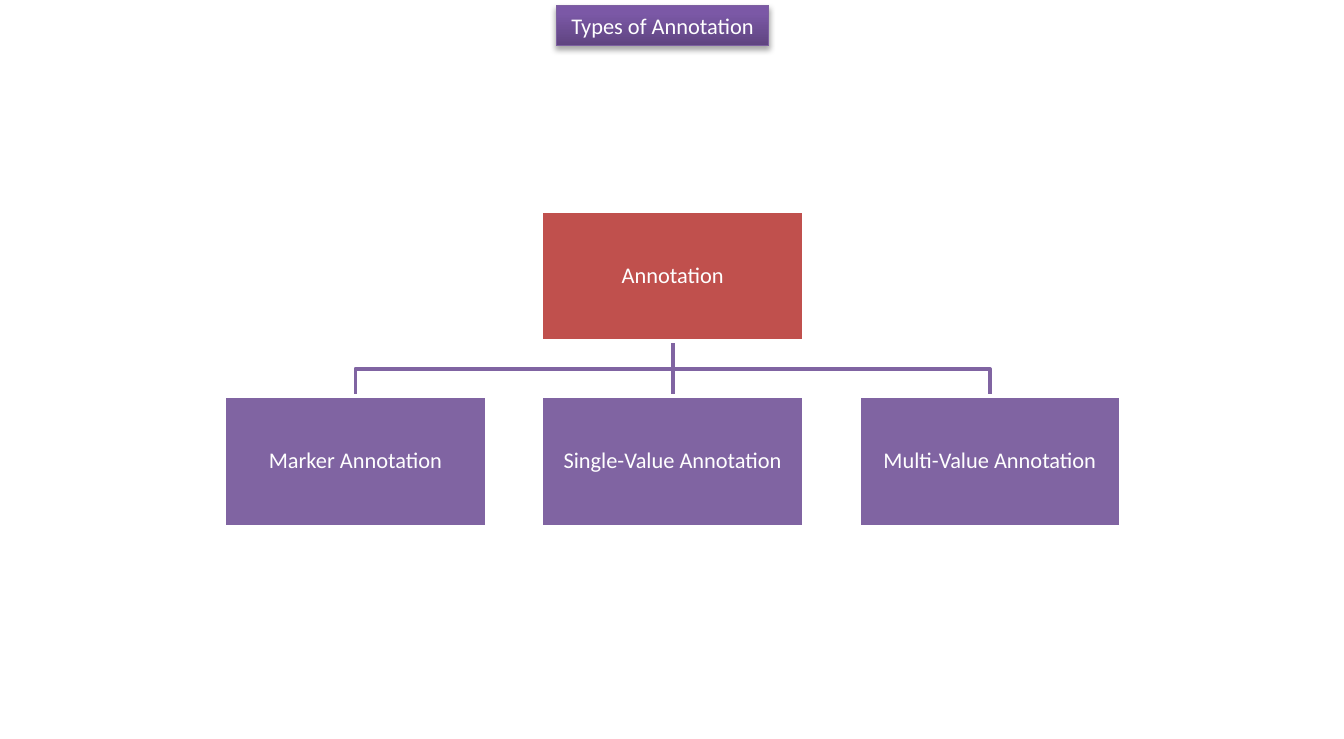
from lxml import etree
from pptx import Presentation
from pptx.dml.color import RGBColor
from pptx.enum import shapes, text
from pptx.oxml.ns import qn
from pptx.util import Inches, Pt

WHITE = RGBColor(0xFF, 0xFF, 0xFF)
RED = RGBColor(0xC0, 0x50, 0x4D)
PURPLE = RGBColor(0x80, 0x64, 0xA2)
TITLE_EDGE = RGBColor(0x7D, 0x60, 0xA0)
TITLE_DARK = RGBColor(0x5F, 0x44, 0x80)
TITLE_LIGHT = RGBColor(0x7B, 0x58, 0xA6)

BOX_WIDTH, BOX_HEIGHT = 1.95, 0.97
COLUMN_STEP, ROW_STEP = 2.36, 1.38


def add_label_box(slide, left, top, width, height, label):
    box = slide.shapes.add_shape(
        shapes.MSO_SHAPE.RECTANGLE,
        Inches(left), Inches(top), Inches(width), Inches(height))
    box.shadow.inherit = False
    box.text_frame.text = label
    paragraph = box.text_frame.paragraphs[0]
    paragraph.alignment = text.PP_ALIGN.CENTER
    paragraph.font.name = "Calibri"
    paragraph.font.size = Pt(12)
    paragraph.font.color.rgb = WHITE
    return box


def add_drop_shadow(shape):
    effects = shape.element.spPr.find(qn("a:effectLst"))
    shadow = etree.SubElement(
        effects, qn("a:outerShdw"), blurRad=str(Pt(3.1)), dist=str(Pt(1.8)),
        dir="5400000", rotWithShape="0")
    color = etree.SubElement(shadow, qn("a:srgbClr"), val="000000")
    etree.SubElement(color, qn("a:alpha"), val="35000")


def add_title(slide, left, top, width, height):
    title = add_label_box(slide, left, top, width, height, "Types of Annotation")
    title.text_frame.auto_size = text.MSO_AUTO_SIZE.SHAPE_TO_FIT_TEXT
    title.fill.gradient()
    title.fill.gradient_angle = 90
    stops = title.fill.gradient_stops
    for stop, position, color in zip(stops, (0, 0.8), (TITLE_DARK, TITLE_LIGHT)):
        stop.position = position
        stop.color.rgb = color
    title.line.color.rgb = TITLE_EDGE
    title.line.width = Pt(0.75)
    add_drop_shadow(title)


def add_node(slide, left, top, label, color):
    node = add_label_box(slide, left, top, BOX_WIDTH, BOX_HEIGHT, label)
    node.fill.solid()
    node.fill.fore_color.rgb = color
    node.line.color.rgb = WHITE
    node.line.width = Pt(2)
    frame = node.text_frame
    frame.vertical_anchor = text.MSO_ANCHOR.MIDDLE
    frame.margin_left = frame.margin_right = Inches(0.01)
    frame.margin_top = frame.margin_bottom = Inches(0.01)
    frame.paragraphs[0].line_spacing = 0.9


def add_branch(slide, parent_x, child_x, top, bottom):
    """Join parent to child: straight down if aligned, else with two bends."""
    if child_x == parent_x:
        branch = slide.shapes.add_connector(
            shapes.MSO_CONNECTOR.STRAIGHT,
            Inches(parent_x), Inches(top), Inches(child_x), Inches(bottom))
        etree.SubElement(branch.element.spPr, qn("a:effectLst"))
    else:
        middle = (top + bottom) / 2
        builder = slide.shapes.build_freeform(Inches(parent_x), Inches(top))
        bends = [(parent_x, middle), (child_x, middle), (child_x, bottom)]
        builder.add_line_segments(
            [(Inches(x), Inches(y)) for x, y in bends], close=False)
        branch = builder.convert_to_shape()
        branch.fill.background()
        branch.shadow.inherit = False
    branch.line.color.rgb = PURPLE
    branch.line.width = Pt(2)


def add_hierarchy(slide, left, top, root, children):
    child_top = top + ROW_STEP
    child_lefts = [left + i * COLUMN_STEP for i in range(len(children))]
    root_left = (child_lefts[0] + child_lefts[-1]) / 2
    half = BOX_WIDTH / 2
    for child_left in child_lefts:
        add_branch(slide, round(root_left + half, 3), round(child_left + half, 3),
                   top + BOX_HEIGHT, child_top)
    add_node(slide, root_left, top, root, RED)
    for child_left, child in zip(child_lefts, children):
        add_node(slide, child_left, child_top, child, PURPLE)


def main():
    deck = Presentation()
    deck.slide_width, deck.slide_height = Inches(10), Inches(5.5)
    slide = deck.slides.add_slide(deck.slide_layouts[6])
    add_title(slide, 4.14, 0.04, 1.58, 0.3)
    add_hierarchy(slide, 1.67, 1.57, "Annotation", [
        "Marker Annotation", "Single-Value Annotation", "Multi-Value Annotation"])
    deck.save("out.pptx")


if __name__ == "__main__":
    main()
